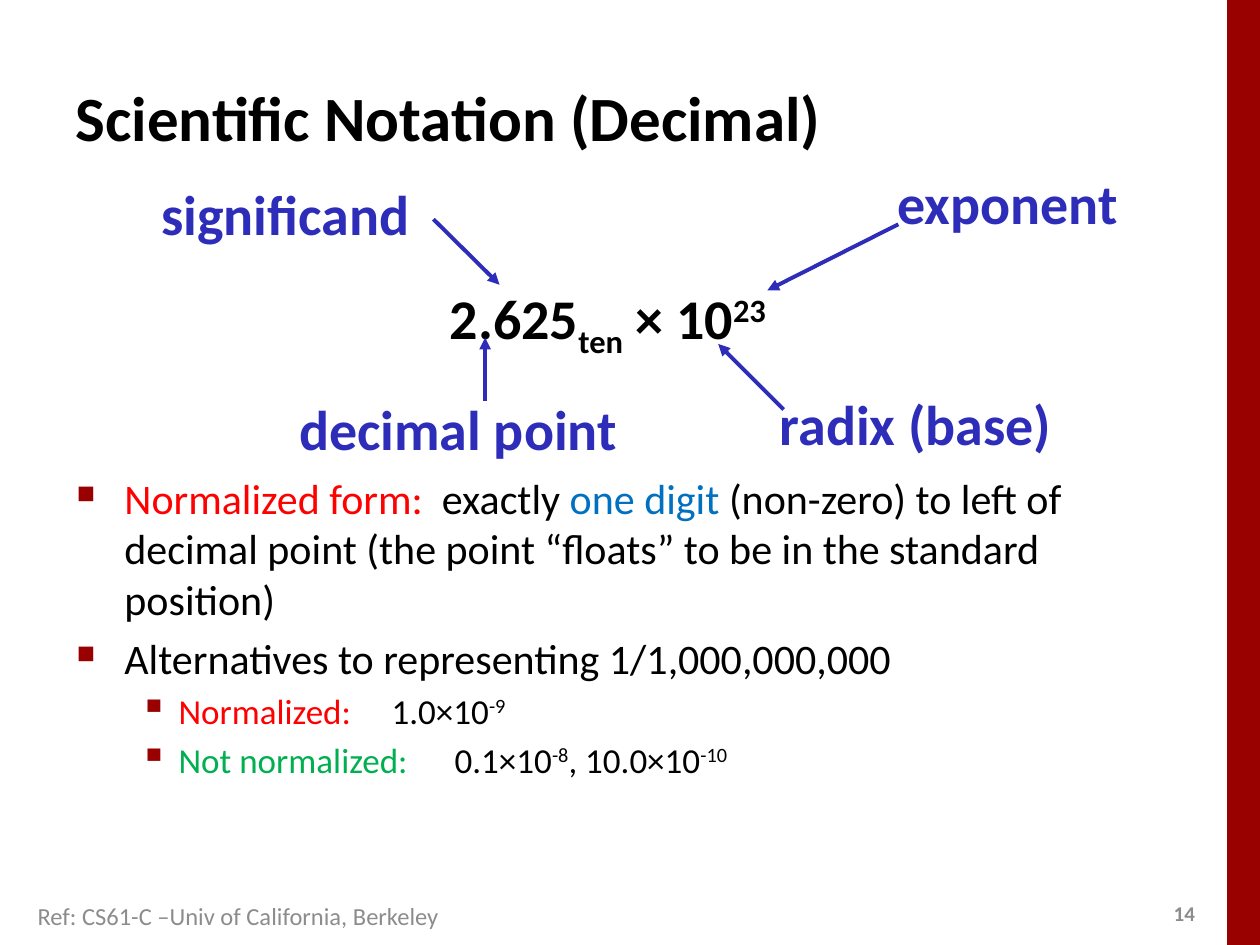
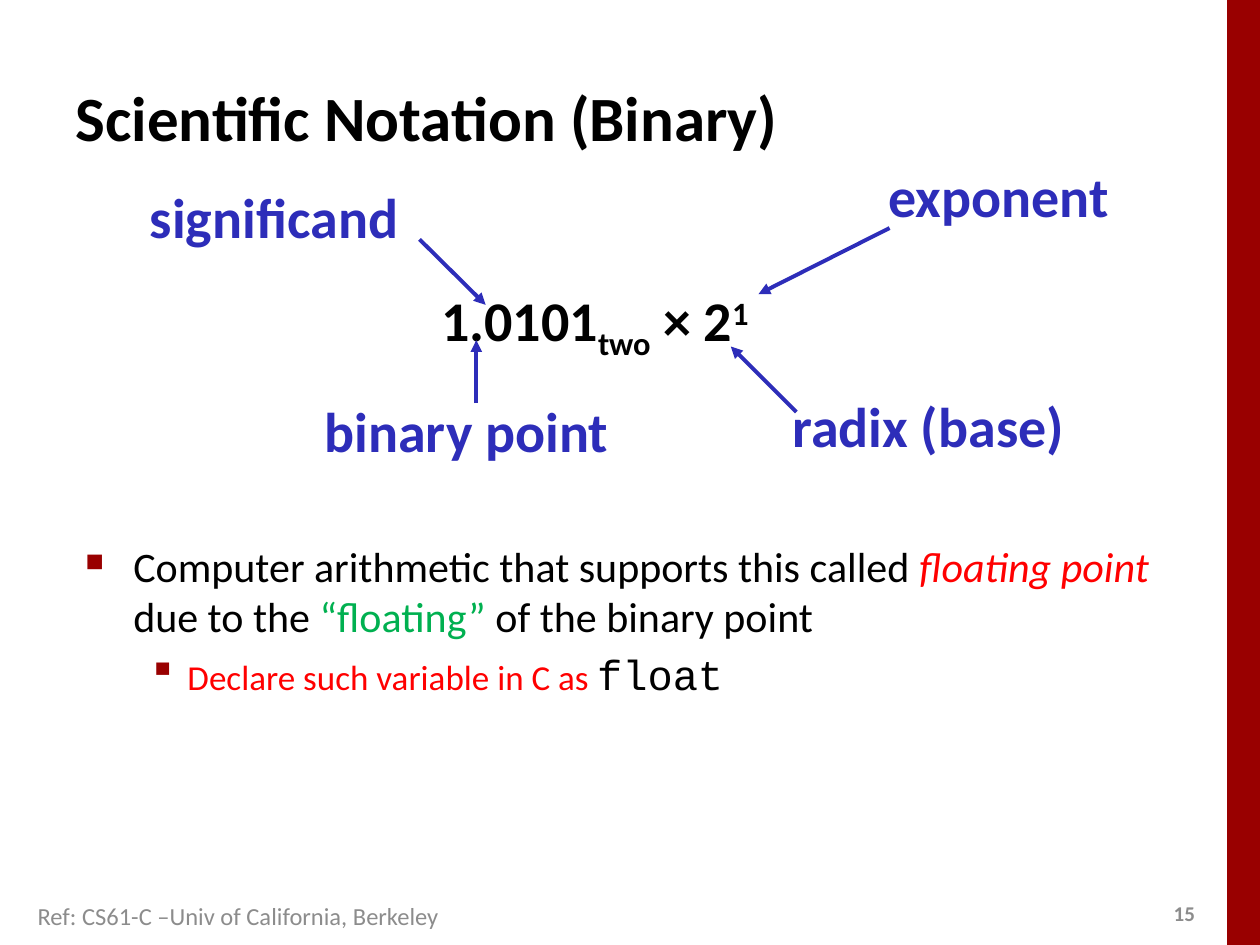
from dataclasses import dataclass

from lxml.etree import SubElement
from pptx import Presentation
from pptx.dml.color import RGBColor
from pptx.enum.shapes import MSO_CONNECTOR as Connector, MSO_SHAPE as Preset
from pptx.enum.text import MSO_ANCHOR as Anchor, MSO_AUTO_SIZE as AutoSize, PP_ALIGN as Align
from pptx.oxml.ns import qn
from pptx.util import Inches, Length, Pt

# Shared look
SLIDE_WIDTH, SLIDE_HEIGHT = Inches(10), Inches(7.5)
COLUMNS, ROWS = 100, 75
BLACK, GRAY, BLUE = "000000", "8C8C8C", "2D2DB9"
CRIMSON, RED, GREEN, SKY = "990000", "FF0000", "00B050", "0070C0"
BODY_FONT, CODE_FONT = "Calibri", "Courier New"
FOOTER = "Ref: CS61-C –Univ of California, Berkeley"
SUBSCRIPT, SUPERSCRIPT = -25, 30

# Grid steps from the start of each callout's arrow to its tip
ARROW_STEPS = {
    "significand": (5.25, 5.2),
    "exponent": (-10.4, 5.25),
    "radix": (-5.2, -5.2),
    "point": (0, -5),
}


@dataclass(frozen=True)
class Span:
    text: str
    color: str = BLACK
    baseline: int = 0
    italic: bool = False
    font: str = BODY_FONT
    size: float | None = None


@dataclass(frozen=True)
class Area:
    left: float
    top: float
    width: float
    height: float


@dataclass(frozen=True)
class Callout:
    role: str
    text: str
    area: Area
    arrow_start: tuple[float, float]
    align: Align = Align.LEFT


@dataclass(frozen=True)
class BulletStyle:
    symbol: str
    symbol_percent: int
    size: float
    margin: float
    hanging: float


@dataclass(frozen=True)
class Bullet:
    level: int
    spans: list[Span]


@dataclass(frozen=True)
class NotationSlide:
    title: str
    number: int
    formula: list[Span]
    formula_area: Area
    callouts: list[Callout]
    bullets: list[Bullet]
    bullets_area: Area


BULLET_STYLES = [
    BulletStyle("■", 60, 24, 0.38, 0.38),
    BulletStyle("▪", 110, 20, 0.81, 0.31),
]


def column(count: float) -> Length:
    return Length(round(SLIDE_WIDTH * count / COLUMNS))


def row(count: float) -> Length:
    return Length(round(SLIDE_HEIGHT * count / ROWS))


def place(area: Area) -> tuple[Length, Length, Length, Length]:
    return column(area.left), row(area.top), column(area.width), row(area.height)


def color_of(code: str) -> RGBColor:
    return RGBColor.from_string(code)


def write(paragraph, text: str, *, size: float, color: str = BLACK, bold: bool = False,
          italic: bool = False, font: str = BODY_FONT, baseline: int = 0) -> None:
    run = paragraph.add_run()
    run.text = text
    run.font.name, run.font.size = font, Pt(size)
    run.font.bold, run.font.italic = bold, italic
    run.font.color.rgb = color_of(color)
    if baseline:
        run._r.get_or_add_rPr().set("baseline", str(baseline * 1000))


def write_spans(paragraph, spans: list[Span], size: float, bold: bool = False) -> None:
    for span in spans:
        write(paragraph, span.text, size=span.size or size, color=span.color, bold=bold,
              italic=span.italic, font=span.font, baseline=span.baseline)


def add_text_frame(slide, area: Area, anchor: Anchor = Anchor.TOP):
    frame = slide.shapes.add_textbox(*place(area)).text_frame
    frame.word_wrap = True
    frame.vertical_anchor = anchor
    return frame


def add_label(slide, area: Area, spans: list[Span], align: Align = Align.LEFT) -> None:
    frame = add_text_frame(slide, area)
    frame.margin_left = frame.margin_right = Inches(0.07)
    frame.margin_top = frame.margin_bottom = Inches(0.03)
    paragraph = frame.paragraphs[0]
    paragraph.alignment, paragraph.line_spacing = align, 0.85
    write_spans(paragraph, spans, 32, bold=True)


def add_callout(slide, callout: Callout) -> None:
    start_column, start_row = callout.arrow_start
    step_column, step_row = ARROW_STEPS[callout.role]
    arrow = slide.shapes.add_connector(
        Connector.STRAIGHT, column(start_column), row(start_row),
        column(start_column + step_column), row(start_row + step_row))
    arrow.line.color.rgb, arrow.line.width = color_of(BLUE), Pt(2.25)
    SubElement(arrow.line._get_or_add_ln(), qn("a:tailEnd"), type="triangle")
    SubElement(arrow._element.spPr, qn("a:effectLst"))
    add_label(slide, callout.area, [Span(callout.text, BLUE)], callout.align)


def set_bullet(paragraph, style: BulletStyle) -> None:
    properties = paragraph._p.get_or_add_pPr()
    properties.set("marL", str(Inches(style.margin)))
    properties.set("indent", str(-Inches(style.hanging)))
    color = SubElement(properties, qn("a:buClr"))
    SubElement(color, qn("a:srgbClr"), val=CRIMSON)
    SubElement(properties, qn("a:buSzPct"), val=str(style.symbol_percent * 1000))
    SubElement(properties, qn("a:buChar"), char=style.symbol)


def add_bullets(slide, area: Area, bullets: list[Bullet]) -> None:
    frame = add_text_frame(slide, area)
    for index, bullet in enumerate(bullets):
        style = BULLET_STYLES[bullet.level]
        paragraph = frame.add_paragraph() if index else frame.paragraphs[0]
        paragraph.level = bullet.level
        set_bullet(paragraph, style)
        if index:
            paragraph.space_before = Pt(style.size * 0.2)
        write_spans(paragraph, bullet.spans, style.size)


def add_frame(slide, title: str, number: int) -> None:
    # Side band
    band = slide.shapes.add_shape(Preset.RECTANGLE, *place(Area(97.4, 0, 2.6, ROWS)))
    band.shadow.inherit = False
    band.fill.solid()
    band.fill.fore_color.rgb = color_of(CRIMSON)
    band.line.fill.background()

    # Title
    heading = slide.shapes.title
    heading.left, heading.top, heading.width, heading.height = place(Area(5, 3, 90, 12.5))
    frame = heading.text_frame
    frame.word_wrap, frame.auto_size = True, AutoSize.NONE
    frame.vertical_anchor = Anchor.MIDDLE
    frame.paragraphs[0].alignment = Align.LEFT
    write(frame.paragraphs[0], title, size=36, bold=True)

    # Footer and page number
    footer = add_text_frame(slide, Area(2, 71, 49.7, 2.9))
    write(footer.paragraphs[0], FOOTER, size=14, color=GRAY)
    page = add_text_frame(slide, Area(92, 71, 4, 3), Anchor.MIDDLE)
    page.paragraphs[0].alignment = Align.CENTER
    write(page.paragraphs[0], str(number), size=12, color=GRAY, bold=True)


def build_slide(presentation, content: NotationSlide) -> None:
    slide = presentation.slides.add_slide(presentation.slide_layouts[5])
    add_frame(slide, content.title, content.number)
    add_bullets(slide, content.bullets_area, content.bullets)
    add_label(slide, content.formula_area, content.formula)
    for callout in content.callouts:
        add_callout(slide, callout)


# Content
DECIMAL = NotationSlide(
    title="Scientific Notation (Decimal)",
    number=14,
    formula=[Span("2.625"), Span("ten", baseline=SUBSCRIPT),
             Span(" × 10"), Span("23", baseline=SUPERSCRIPT)],
    formula_area=Area(35, 22.5, 28.2, 5.1),
    callouts=[
        Callout("radix", "radix (base)", Area(61.2, 31.4, 26, 5.2), (62.2, 32.5)),
        Callout("point", "decimal point", Area(22.7, 31.8, 27, 5.2), (38.5, 31.8), Align.RIGHT),
        Callout("significand", "significand", Area(12.1, 14.8, 26, 5.2), (34.4, 17.4)),
        Callout("exponent", "exponent", Area(70.5, 13.9, 20.8, 5.2), (71.3, 17.8)),
    ],
    bullets=[
        Bullet(0, [Span("Normalized form:  ", RED), Span("exactly "), Span("one digit ", SKY),
                   Span("(non-zero) to left of decimal point "
                        "(the point “floats” to be in the standard position)")]),
        Bullet(0, [Span("Alternatives to representing 1/1,000,000,000")]),
        Bullet(1, [Span("Normalized:", RED), Span("\t1.0×10"),
                   Span("-9", baseline=SUPERSCRIPT)]),
        Bullet(1, [Span("Not normalized:", GREEN), Span("\t0.1×10"),
                   Span("-8", baseline=SUPERSCRIPT), Span(", 10.0×10"),
                   Span("-10", baseline=SUPERSCRIPT)]),
    ],
    bullets_area=Area(5.1, 37, 90, 33.5),
)

BINARY = NotationSlide(
    title="Scientific Notation (Binary)",
    number=15,
    formula=[Span("1.0101"), Span("two", baseline=SUBSCRIPT),
             Span(" × 2"), Span("1", baseline=SUPERSCRIPT)],
    formula_area=Area(34.3, 22.7, 30.8, 5.2),
    callouts=[
        Callout("radix", "radix (base)", Area(62.2, 31.6, 26, 5.2), (63.2, 32.7)),
        Callout("point", "binary point", Area(24, 32, 25, 5.2), (37.8, 32), Align.RIGHT),
        Callout("significand", "significand", Area(11.2, 15, 26, 5.2), (33.3, 19)),
        Callout("exponent", "exponent", Area(69.8, 13.3, 20.8, 5.2), (70.6, 18.1)),
    ],
    bullets=[
        Bullet(0, [Span("Computer arithmetic that supports this called "),
                   Span("floating point ", RED, italic=True), Span("due to the "),
                   Span("“floating” ", GREEN), Span("of the binary point")]),
        Bullet(1, [Span("Declare such variable in C as ", RED),
                   Span("float", font=CODE_FONT, size=24)]),
    ],
    bullets_area=Area(5.8, 42.4, 90, 25),
)


def main() -> None:
    presentation = Presentation()
    presentation.slide_width, presentation.slide_height = SLIDE_WIDTH, SLIDE_HEIGHT
    for content in (DECIMAL, BINARY):
        build_slide(presentation, content)
    presentation.save("out.pptx")


if __name__ == "__main__":
    main()
